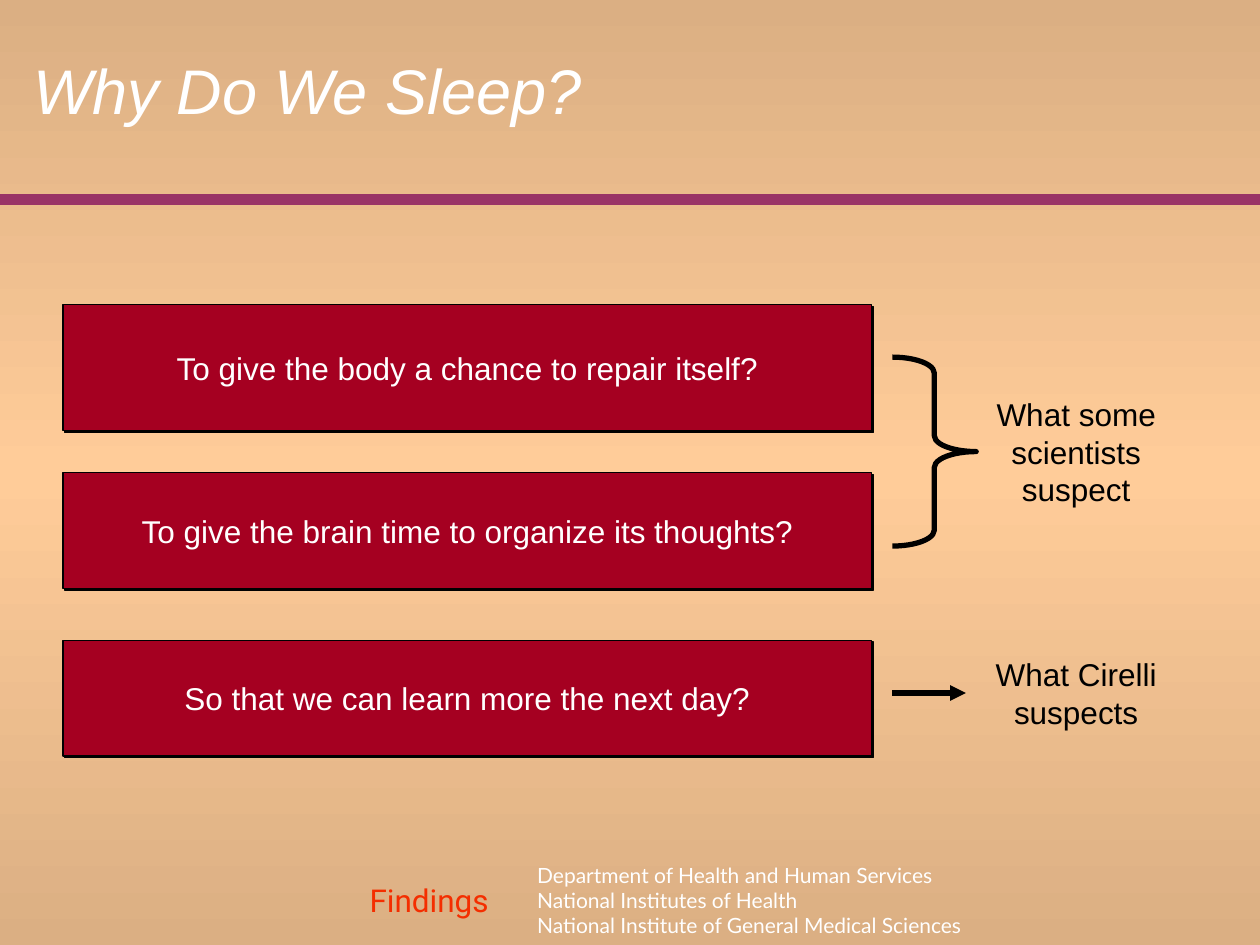
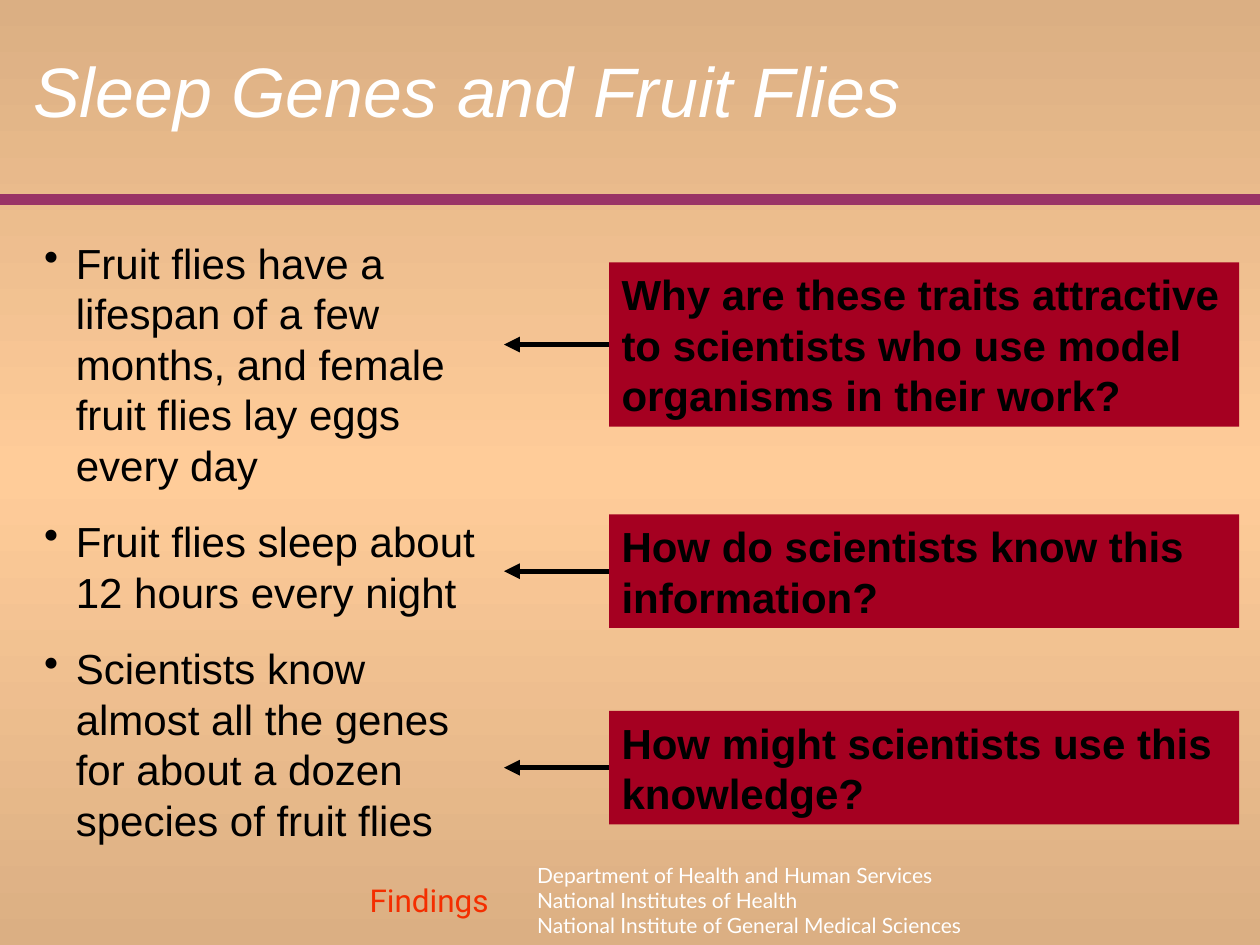
from copy import deepcopy
from dataclasses import dataclass

from lxml import etree
from pptx import Presentation
from pptx.dml.color import RGBColor
from pptx.enum.shapes import MSO_CONNECTOR, MSO_SHAPE
from pptx.enum.text import MSO_ANCHOR, MSO_AUTO_SIZE, PP_ALIGN
from pptx.oxml.ns import qn
from pptx.util import Cm, Pt

RECTANGLE = MSO_SHAPE.RECTANGLE
RIGHT_BRACE = MSO_SHAPE.RIGHT_BRACE
STRAIGHT = MSO_CONNECTOR.STRAIGHT
TOP, MIDDLE = MSO_ANCHOR.TOP, MSO_ANCHOR.MIDDLE
LEFT, CENTER = PP_ALIGN.LEFT, PP_ALIGN.CENTER
NO_AUTOFIT = MSO_AUTO_SIZE.NONE

# Colours
SAND, PEACH = "DBAF83", "FFCC99"
CRIMSON, PLUM, ORANGE = "A50021", "993366", "F42E00"
BLACK, WHITE = "000000", "FFFFFF"

SLIDE_WIDTH, SLIDE_HEIGHT = 25.4, 19.05
LEFT_SIDE = 1


@dataclass(frozen=True)
class Box:
    """A place on the slide, in centimetres."""
    left: float
    top: float
    width: float
    height: float

    @property
    def middle(self) -> float:
        return self.top + self.height / 2

    def lengths(self) -> tuple:
        return Cm(self.left), Cm(self.top), Cm(self.width), Cm(self.height)


@dataclass(frozen=True)
class TextStyle:
    size: float
    color: str
    font: str = "Arial"
    bold: bool = False
    italic: bool = False
    alignment: PP_ALIGN = LEFT
    anchor: MSO_ANCHOR = TOP
    wrap: bool = True
    space_before: float = 0
    line_spacing: float = 1.0
    bullet: bool = False


@dataclass(frozen=True)
class TextItem:
    box: Box
    lines: tuple


FINDINGS_STYLE = TextStyle(18, ORANGE, "Roboto", line_spacing=0.8)
AGENCY_STYLE = TextStyle(12, WHITE, "Lato")
REASON_STYLE = TextStyle(18, WHITE, alignment=CENTER, anchor=MIDDLE, wrap=False)
LABEL_STYLE = TextStyle(18, BLACK, alignment=CENTER)
FACT_STYLE = TextStyle(24, BLACK, space_before=15, bullet=True)
QUESTION_STYLE = TextStyle(24, BLACK, bold=True)

FINDINGS = TextItem(Box(7.2, 17.78, 3.39, 0.87), ("Findings",))
AGENCIES = TextItem(Box(10.58, 17.25, 9.95, 1.77), (
    "Department of Health and Human Services",
    "National Institutes of Health",
    "National Institute of General Medical Sciences",
))

REASONS = (
    TextItem(Box(1.27, 6.14, 16.3, 2.54), ("To give the body a chance to repair itself?",)),
    TextItem(Box(1.27, 9.53, 16.3, 2.33), ("To give the brain time to organize its thoughts?",)),
    TextItem(Box(1.27, 12.91, 16.3, 2.33), ("So that we can learn more the next day?",)),
)
SUSPECTS = (
    TextItem(Box(19.47, 7.83, 4.45, 2.54), ("What some scientists suspect",)),
    TextItem(Box(19.47, 13.08, 4.45, 1.78), ("What Cirelli suspects",)),
)
BRACE = Box(17.99, 7.2, 1.69, 3.81)

FACTS = TextItem(Box(0.64, 4.66, 9.31, 12.5), (
    "Fruit flies have a lifespan of a few months, and female fruit flies lay eggs every day",
    "Fruit flies sleep about 12 hours every night",
    "Scientists know almost all the genes for about a dozen species of fruit flies",
))
QUESTIONS = (
    TextItem(Box(12.28, 5.29, 12.7, 3.31), (
        "Why are these traits attractive to scientists who use model organisms in their work?",)),
    TextItem(Box(12.28, 10.37, 12.7, 2.29), ("How do scientists know this information?",)),
    TextItem(Box(12.28, 14.33, 12.7, 2.29), ("How might scientists use this knowledge?",)),
)


def rgb(color: str) -> RGBColor:
    return RGBColor.from_string(color)


def set_attributes(target, values: dict) -> None:
    for name, value in values.items():
        setattr(target, name, value)


def add_bullet(paragraph) -> None:
    properties = paragraph._p.get_or_add_pPr()
    properties.set("marL", str(Cm(0.64)))
    properties.set("indent", str(-Cm(0.64)))
    bullet_color = etree.SubElement(properties, qn("a:buClr"))
    etree.SubElement(bullet_color, qn("a:srgbClr"), val=BLACK)
    etree.SubElement(properties, qn("a:buChar"), char="•")


def write_text(shape, lines: tuple, style: TextStyle) -> None:
    frame = shape.text_frame
    set_attributes(frame, {
        "auto_size": NO_AUTOFIT,
        "word_wrap": style.wrap,
        "vertical_anchor": style.anchor,
        "margin_left": Cm(0.25), "margin_right": Cm(0.25),
        "margin_top": Cm(0.13), "margin_bottom": Cm(0.13),
    })
    for index, line in enumerate(lines):
        paragraph = frame.add_paragraph() if index else frame.paragraphs[0]
        if style.bullet:
            add_bullet(paragraph)
        set_attributes(paragraph, {
            "alignment": style.alignment,
            "line_spacing": style.line_spacing,
            "space_before": Pt(style.space_before if index else 0),
        })
        run = paragraph.add_run()
        run.text = line
        set_attributes(run.font, {
            "name": style.font, "size": Pt(style.size),
            "bold": style.bold, "italic": style.italic,
        })
        run.font.color.rgb = rgb(style.color)


def add_text(slide, item: TextItem, style: TextStyle) -> None:
    write_text(slide.shapes.add_textbox(*item.box.lengths()), item.lines, style)


def add_panel(slide, item: TextItem, style: TextStyle):
    shape = slide.shapes.add_shape(RECTANGLE, *item.box.lengths())
    shape.shadow.inherit = False
    shape.fill.solid()
    shape.fill.fore_color.rgb = rgb(CRIMSON)
    shape.line.fill.background()
    write_text(shape, item.lines, style)
    return shape


def outline(shape, color: str, width: float) -> None:
    shape.line.color.rgb = rgb(color)
    shape.line.width = Pt(width)


def add_hard_shadow(shape) -> None:
    effects = shape._element.spPr.find(qn("a:effectLst"))
    shadow = etree.SubElement(effects, qn("a:outerShdw"), dist=str(Pt(1.4)),
                              dir="2700000", algn="ctr", rotWithShape="0")
    etree.SubElement(shadow, qn("a:srgbClr"), val=BLACK)


def add_line(slide, start: tuple, end: tuple, color: str, width: float, arrow: bool = False):
    points = [Cm(value) for value in start + end]
    connector = slide.shapes.add_connector(STRAIGHT, *points)
    outline(connector, color, width)
    if arrow:
        etree.SubElement(connector.line._get_or_add_ln(), qn("a:tailEnd"), type="triangle")
    etree.SubElement(connector._element.spPr, qn("a:effectLst"))
    return connector


def set_background(master) -> None:
    fill = master.background.fill
    fill.gradient()
    fill.gradient_angle = 90
    for stop, color, position in zip(fill.gradient_stops, (SAND, PEACH), (0, 0.5)):
        stop.color.rgb = rgb(color)
        stop.position = position
    stop_list = master.element.find(".//" + qn("a:gsLst"))
    last_stop = deepcopy(stop_list[0])
    last_stop.set("pos", "100000")
    stop_list.append(last_stop)


def add_titled_slide(presentation, title: str, size: float):
    """Start a slide with its title, band line and footer."""
    slide = presentation.slides.add_slide(presentation.slide_layouts[5])
    add_line(slide, (0, 4.02), (SLIDE_WIDTH, 4.02), PLUM, 6)
    add_text(slide, FINDINGS, FINDINGS_STYLE)
    add_text(slide, AGENCIES, AGENCY_STYLE)
    placeholder = slide.shapes.title
    places = Box(0.42, 0.21, 24.34, 3.18).lengths()
    set_attributes(placeholder, dict(zip(("left", "top", "width", "height"), places)))
    write_text(placeholder, (title,), TextStyle(size, WHITE, italic=True, anchor=MIDDLE))
    return slide


def build_reasons_slide(presentation) -> None:
    slide = add_titled_slide(presentation, "Why Do We Sleep?", 36)
    # Possible reasons
    for reason in REASONS:
        panel = add_panel(slide, reason, REASON_STYLE)
        outline(panel, BLACK, 0.75)
        add_hard_shadow(panel)
    # Who suspects what
    brace = slide.shapes.add_shape(RIGHT_BRACE, *BRACE.lengths())
    brace.shadow.inherit = False
    brace.fill.background()
    brace.adjustments[0] = 0.19
    outline(brace, BLACK, 3)
    add_line(slide, (BRACE.left, 13.97), (19.47, 13.97), BLACK, 3, arrow=True)
    for suspect in SUSPECTS:
        add_text(slide, suspect, LABEL_STYLE)


def build_fruit_flies_slide(presentation) -> None:
    slide = add_titled_slide(presentation, "Sleep Genes and Fruit Flies", 40)
    add_text(slide, FACTS, FACT_STYLE)
    # Questions pointing at the facts
    for question in QUESTIONS:
        panel = add_panel(slide, question, QUESTION_STYLE)
        box = question.box
        arrow = add_line(slide, (box.left, box.middle), (10.16, box.middle), BLACK, 3, arrow=True)
        arrow.begin_connect(panel, LEFT_SIDE)


def main() -> None:
    presentation = Presentation()
    presentation.slide_width = Cm(SLIDE_WIDTH)
    presentation.slide_height = Cm(SLIDE_HEIGHT)
    set_background(presentation.slide_master)
    build_reasons_slide(presentation)
    build_fruit_flies_slide(presentation)
    presentation.save("out.pptx")


if __name__ == "__main__":
    main()
